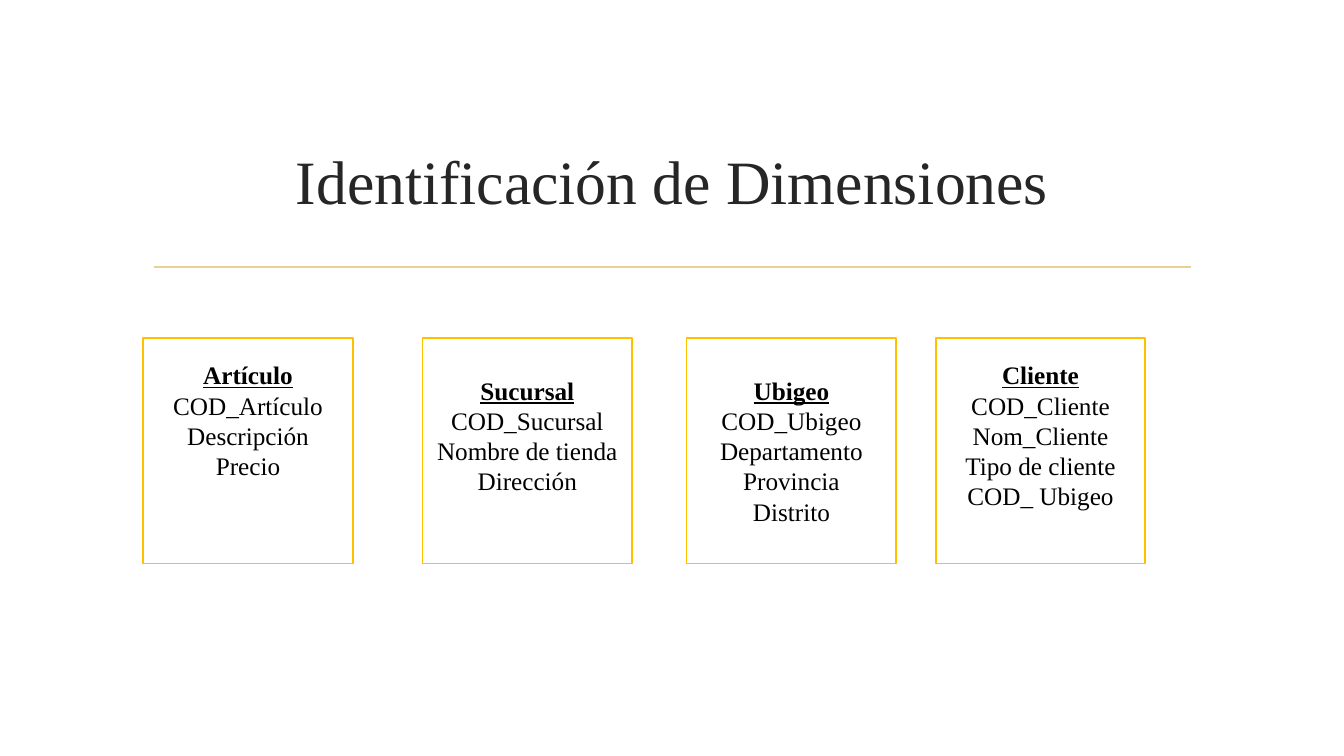
from pptx import Presentation
from pptx.dml.color import RGBColor
from pptx.enum.shapes import MSO_CONNECTOR as CONNECTOR, MSO_SHAPE as SHAPE
from pptx.enum.text import MSO_ANCHOR as ANCHOR, MSO_AUTO_SIZE as AUTO_SIZE, PP_ALIGN as ALIGN
from pptx.oxml.ns import qn
from pptx.util import Inches, Pt
from lxml.etree import SubElement

FONT = "Times New Roman"
BOX_TOP, BOX_WIDTH, BOX_HEIGHT = 3.35, 2.08, 2.24
LINE_HEIGHT = 0.3

# Left edge, lines of room kept free below the text, name, attributes
DIMENSIONS = [
    (1.42, 2, "Artículo", ["COD_Artículo", "Descripción", "Precio"]),
    (4.19, 1, "Sucursal", ["COD_Sucursal", "Nombre de tienda", "Dirección"]),
    (6.81, 0, "Ubigeo", ["COD_Ubigeo", "Departamento", "Provincia", "Distrito"]),
    (9.28, 1, "Cliente", ["COD_Cliente", "Nom_Cliente", "Tipo de cliente", "COD_ Ubigeo"]),
]


def color(value):
    return RGBColor.from_string(value)


def format_paragraph(paragraph, size, ink, heading=False):
    paragraph.alignment = ALIGN.CENTER
    for run in paragraph.runs:
        font = run.font
        font.name, font.size = FONT, Pt(size)
        font.color.rgb = color(ink)
        font.bold = font.underline = heading


def set_title(slide, text):
    title = slide.shapes.title
    title.left, title.top = Inches(1.42), Inches(1.07)
    title.width, title.height = Inches(10.5), Inches(1.43)
    frame = title.text_frame
    frame.text = text
    frame.auto_size = AUTO_SIZE.NONE
    frame.vertical_anchor = ANCHOR.MIDDLE
    format_paragraph(frame.paragraphs[0], 44, "262626")


def add_divider(slide, left, right, y):
    divider = slide.shapes.add_connector(
        CONNECTOR.STRAIGHT, Inches(left), Inches(y), Inches(right), Inches(y))
    divider.line.color.rgb = color("E8D191")
    divider.line.width = Pt(1.25)
    SubElement(divider._element.spPr, qn("a:effectLst"))


def add_dimension(slide, left, free_lines, name, attributes):
    box = slide.shapes.add_shape(
        SHAPE.RECTANGLE, Inches(left), Inches(BOX_TOP), Inches(BOX_WIDTH), Inches(BOX_HEIGHT))
    box.shadow.inherit = False
    box.fill.background()
    box.line.color.rgb = color("FFC000")
    box.line.width = Pt(1.25)

    frame = box.text_frame
    frame.word_wrap = True
    frame.vertical_anchor = ANCHOR.MIDDLE
    frame.margin_bottom = Inches(0.05 + free_lines * LINE_HEIGHT)
    frame.text = "\n".join([name, *attributes])
    for index, paragraph in enumerate(frame.paragraphs):
        format_paragraph(paragraph, 18, "000000", heading=index == 0)


def main():
    deck = Presentation()
    deck.slide_width, deck.slide_height = Inches(13.33), Inches(7.5)
    slide = deck.slides.add_slide(deck.slide_layouts[5])

    # Heading with its rule
    add_divider(slide, 1.53, 11.81, 2.65)
    set_title(slide, "Identificación de Dimensiones")

    # Dimension boxes
    for dimension in DIMENSIONS:
        add_dimension(slide, *dimension)

    deck.save("out.pptx")


if __name__ == "__main__":
    main()
